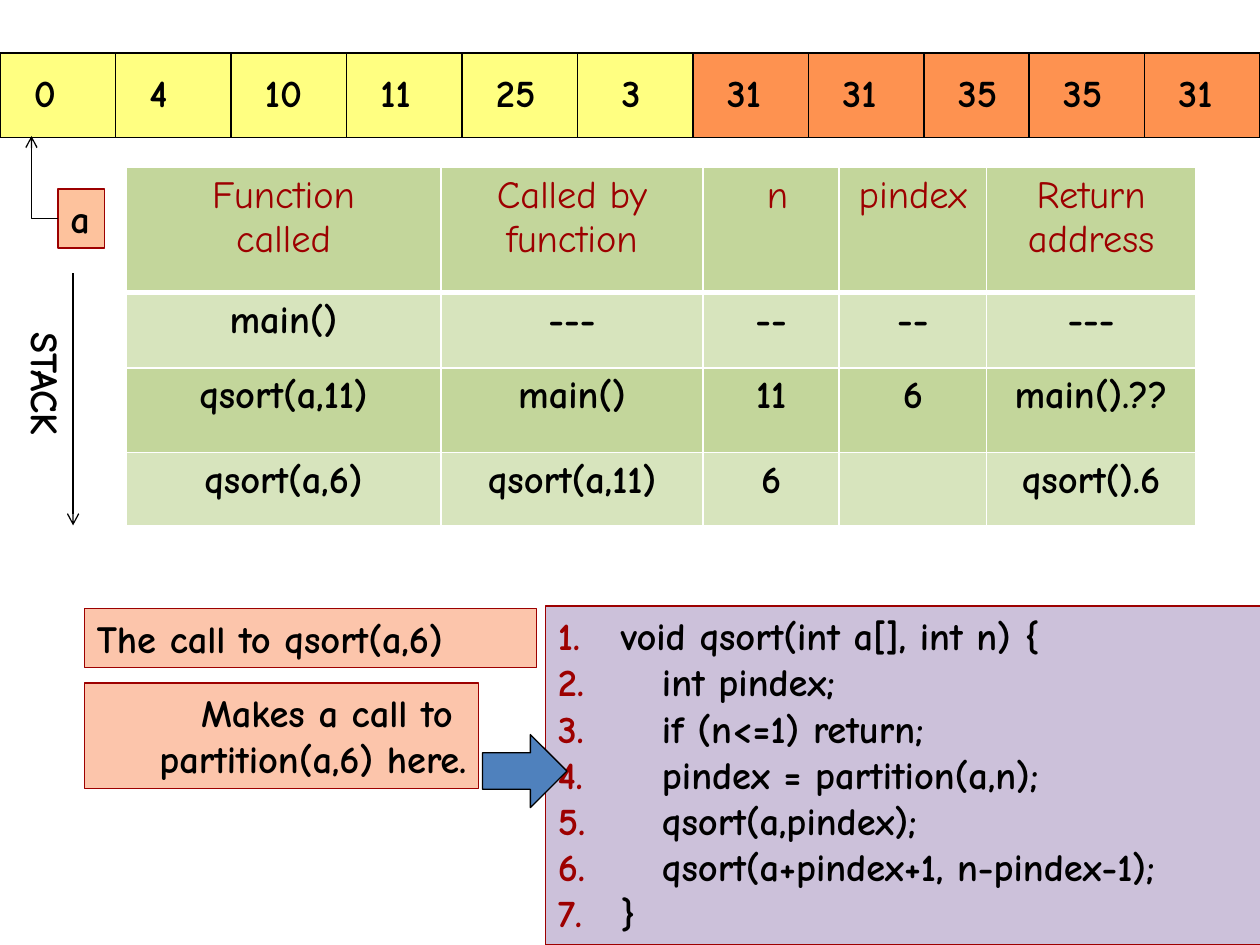
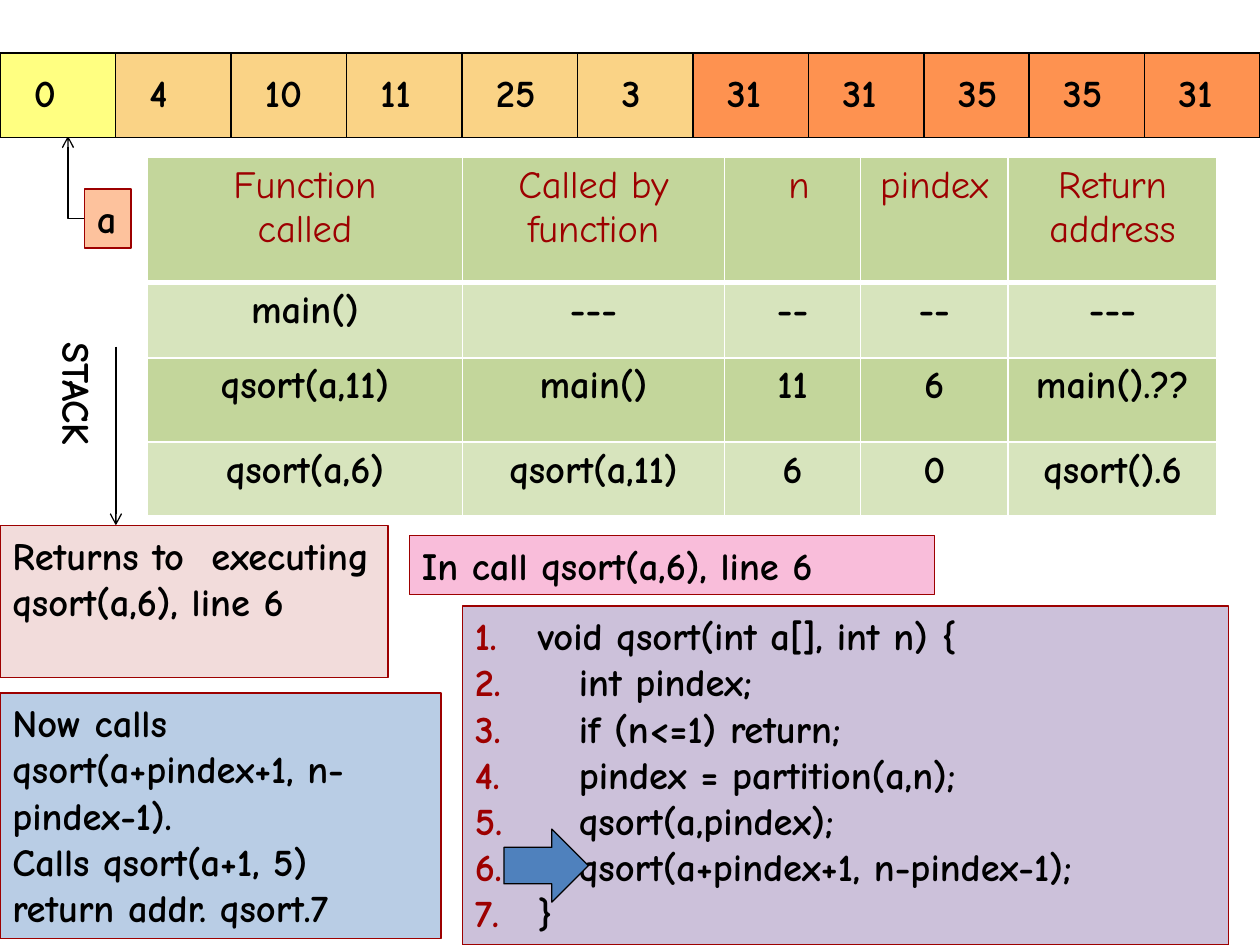
from dataclasses import dataclass
from itertools import product

from lxml.etree import SubElement
from pptx import Presentation
from pptx.dml.color import RGBColor
from pptx.enum.shapes import MSO_CONNECTOR, MSO_SHAPE
from pptx.enum.text import MSO_ANCHOR, PP_ALIGN
from pptx.oxml.ns import qn
from pptx.util import Inches, Pt


@dataclass(frozen=True)
class Theme:
    font: str = "Comic Neue"
    size: float = 22
    line_width: float = 0.75
    ink: str = "000000"
    accent: str = "9D0000"
    white: str = "FFFFFF"
    yellow: str = "FFFF81"
    sand: str = "FAD386"
    orange: str = "FE9250"
    pointer: str = "FDC29D"
    peach: str = "FCC5AB"
    rose: str = "F2DCDB"
    pink: str = "F9BDDA"
    sky: str = "B9CDE5"
    lilac: str = "CCC1DA"
    arrow: str = "4F81BD"
    dark_row: str = "C3D69B"
    light_row: str = "D7E4BD"


@dataclass(frozen=True)
class Box:
    left: float
    top: float
    width: float
    height: float

    @property
    def right(self):
        return self.left + self.width

    @property
    def bottom(self):
        return self.top + self.height

    def lengths(self):
        return [Inches(n) for n in (self.left, self.top, self.width, self.height)]


THEME = Theme()
ARRAY_BOX = Box(0, 0.42, 10, 0.67)
ARRAY_VALUES = [0, 4, 10, 11, 25, 3, 31, 31, 35, 35, 31]
CELL_WIDTH = 11 / 12
CELL_INSET = 0.27
COLUMN_WIDTHS = [2.5, 2.08, 1.08, 1.17, 1.66]
ROW_HEIGHTS = [0.99, 0.6, 0.67, 0.58]
CALLS = [
    ["Function\ncalled", "Called by\nfunction", " n", "pindex", "Return address"],
    ["main()", "---", "--", "--", "---"],
    ["qsort(a,11)", "main()", "11", "6", "main().??"],
]
CODE = """void qsort(int a[], int n) {
   int pindex;
   if (n<=1) return;
   pindex = partition(a,n);
   qsort(a,pindex);
   qsort(a+pindex+1, n-pindex-1);
}"""


def colour(value):
    return RGBColor.from_string(value)


def write_text(frame, text, color=THEME.ink, bold=True, align=PP_ALIGN.LEFT, numbered=False):
    frame.text = text
    for paragraph in frame.paragraphs:
        paragraph.alignment = align
        if numbered:
            number_paragraph(paragraph)
        font = paragraph.font
        font.name, font.size, font.bold = THEME.font, Pt(THEME.size), bold
        font.color.rgb = colour(color)


def number_paragraph(paragraph):
    properties = paragraph._p.get_or_add_pPr()
    properties.set("marL", str(Inches(0.5)))
    properties.set("indent", str(-Inches(0.5)))
    bullet_colour = SubElement(properties, qn("a:buClr"))
    SubElement(bullet_colour, qn("a:srgbClr"), val=THEME.accent)
    SubElement(properties, qn("a:buFont"), typeface="+mj-lt")
    SubElement(properties, qn("a:buAutoNum"), type="arabicPeriod")


def add_panel(slide, box, fill, line=THEME.accent, kind=MSO_SHAPE.RECTANGLE):
    shape = slide.shapes.add_shape(kind, *box.lengths())
    shape.shadow.inherit = False
    shape.fill.solid()
    shape.fill.fore_color.rgb = colour(fill)
    shape.line.color.rgb = colour(line)
    shape.line.width = Pt(THEME.line_width)
    shape.text_frame.word_wrap = True
    shape.text_frame.vertical_anchor = MSO_ANCHOR.TOP
    return shape


def add_note(slide, box, fill, text, **style):
    write_text(add_panel(slide, box, fill).text_frame, text, **style)


def add_arrow(slide, kind, start, end):
    ends = [Inches(n) for n in (*start, *end)]
    connector = slide.shapes.add_connector(kind, *ends)
    connector.line.color.rgb = colour(THEME.ink)
    connector.line.width = Pt(THEME.line_width)
    SubElement(connector.line._get_or_add_ln(), qn("a:tailEnd"), type="arrow")
    SubElement(connector._element.spPr, qn("a:effectLst"))
    return connector


def draw_array(slide, box, fills):
    last_pair = len(ARRAY_VALUES) - 2
    for index, (value, fill) in enumerate(zip(ARRAY_VALUES, fills)):
        left = index * CELL_WIDTH
        if index >= last_pair:
            left = box.width - (len(ARRAY_VALUES) - index) * CELL_WIDTH
        cell = add_panel(slide, Box(box.left + left, box.top, CELL_WIDTH, box.height), fill, THEME.ink)
        frame = cell.text_frame
        frame.margin_left = Inches(CELL_INSET + (0.08 if value == 3 else 0))
        frame.margin_top = Inches(0.13)
        write_text(frame, str(value))


def draw_pointer(slide, box):
    name = Box(box.right - 0.37, box.bottom - 0.47, 0.37, 0.47)
    add_note(slide, name, THEME.pointer, "a")
    start = (name.left, name.top + name.height / 2)
    elbow = add_arrow(slide, MSO_CONNECTOR.ELBOW, start, (box.left, box.top))
    elbow._element.spPr.find(qn("a:prstGeom")).set("prst", "bentConnector2")


def draw_stack_direction(slide, box, label_drop):
    add_arrow(slide, MSO_CONNECTOR.STRAIGHT, (box.right, box.top), (box.right, box.bottom))
    length, thickness = 1.23, 0.47
    shift = (length - thickness) / 2
    label_box = Box(box.left - shift, box.top + label_drop + shift, length, thickness)
    label = slide.shapes.add_textbox(*label_box.lengths())
    label.rotation = 90
    label.text_frame.word_wrap = True
    write_text(label.text_frame, "STACK")


def add_borders(cell, bottom_width):
    properties = cell._tc.get_or_add_tcPr()
    for side, width in (("L", 1), ("R", 1), ("T", 1), ("B", bottom_width)):
        line = SubElement(properties, qn(f"a:ln{side}"), w=str(Pt(width)))
        fill = SubElement(line, qn("a:solidFill"))
        SubElement(fill, qn("a:srgbClr"), val=THEME.white)


def draw_call_table(slide, box, pindex):
    rows = CALLS + [["qsort(a,6)", "qsort(a,11)", "6", pindex, "qsort().6"]]
    table = slide.shapes.add_table(len(rows), len(COLUMN_WIDTHS), *box.lengths()).table
    table.first_row = table.horz_banding = False
    for column, width in zip(table.columns, COLUMN_WIDTHS):
        column.width = Inches(width)
    for row, height in zip(table.rows, ROW_HEIGHTS):
        row.height = Inches(height)
    for row, column in product(range(len(rows)), range(len(COLUMN_WIDTHS))):
        cell = table.cell(row, column)
        header = row == 0
        add_borders(cell, 3 if header else 1)
        cell.fill.solid()
        cell.fill.fore_color.rgb = colour(THEME.light_row if row % 2 else THEME.dark_row)
        write_text(cell.text_frame, rows[row][column], THEME.accent if header else THEME.ink,
                   not header, PP_ALIGN.CENTER)


def draw_code(slide, box, marker_left, marker_top):
    add_note(slide, box, THEME.lilac, CODE, numbered=True)
    marker = Box(box.left + marker_left, box.top + marker_top, 0.67, 0.58)
    add_panel(slide, marker, THEME.arrow, THEME.ink, MSO_SHAPE.RIGHT_ARROW)


def build_partition_slide(slide):
    draw_array(slide, ARRAY_BOX, [THEME.yellow] * 6 + [THEME.orange] * 5)
    draw_stack_direction(slide, Box(0.13, 2.17, 0.45, 2), 0.37)
    draw_call_table(slide, Box(1, 1.33, 8.49, 2.84), "")
    draw_pointer(slide, Box(0.25, 1.08, 0.58, 0.89))
    add_note(slide, Box(0.67, 4.83, 3.59, 0.47), THEME.peach, "The call to qsort(a,6)")
    draw_code(slide, Box(4.33, 4.81, 6.33, 2.69), -0.5, 1.02)
    add_note(slide, Box(0.67, 5.42, 3.13, 0.84), THEME.peach,
             "Makes a call to \npartition(a,6) here.", align=PP_ALIGN.RIGHT)


def build_return_slide(slide):
    draw_stack_direction(slide, Box(0.38, 2.75, 0.54, 1.42), -0.13)
    draw_call_table(slide, Box(1.17, 1.25, 8.49, 2.84), "0")
    draw_pointer(slide, Box(0.54, 1.08, 0.5, 0.89))
    draw_array(slide, ARRAY_BOX, [THEME.yellow] + [THEME.sand] * 5 + [THEME.orange] * 5)
    draw_code(slide, Box(3.67, 4.81, 6.08, 2.69), 0.33, 1.77)
    add_note(slide, Box(0, 5.5, 3.5, 1.95), THEME.sky,
             "Now calls\nqsort(a+pindex+1, n-pindex-1).\nCalls qsort(a+1, 5)\nreturn addr. qsort.7")
    add_note(slide, Box(0, 4.17, 3.08, 1.21), THEME.rose, "Returns to  executing qsort(a,6), line 6")
    add_note(slide, Box(3.25, 4.25, 4.17, 0.47), THEME.pink, "In call qsort(a,6), line 6")


def main():
    presentation = Presentation()
    presentation.slide_width, presentation.slide_height = Inches(10), Inches(7.5)
    for build in (build_partition_slide, build_return_slide):
        build(presentation.slides.add_slide(presentation.slide_layouts[6]))
    presentation.save("out.pptx")


if __name__ == "__main__":
    main()
